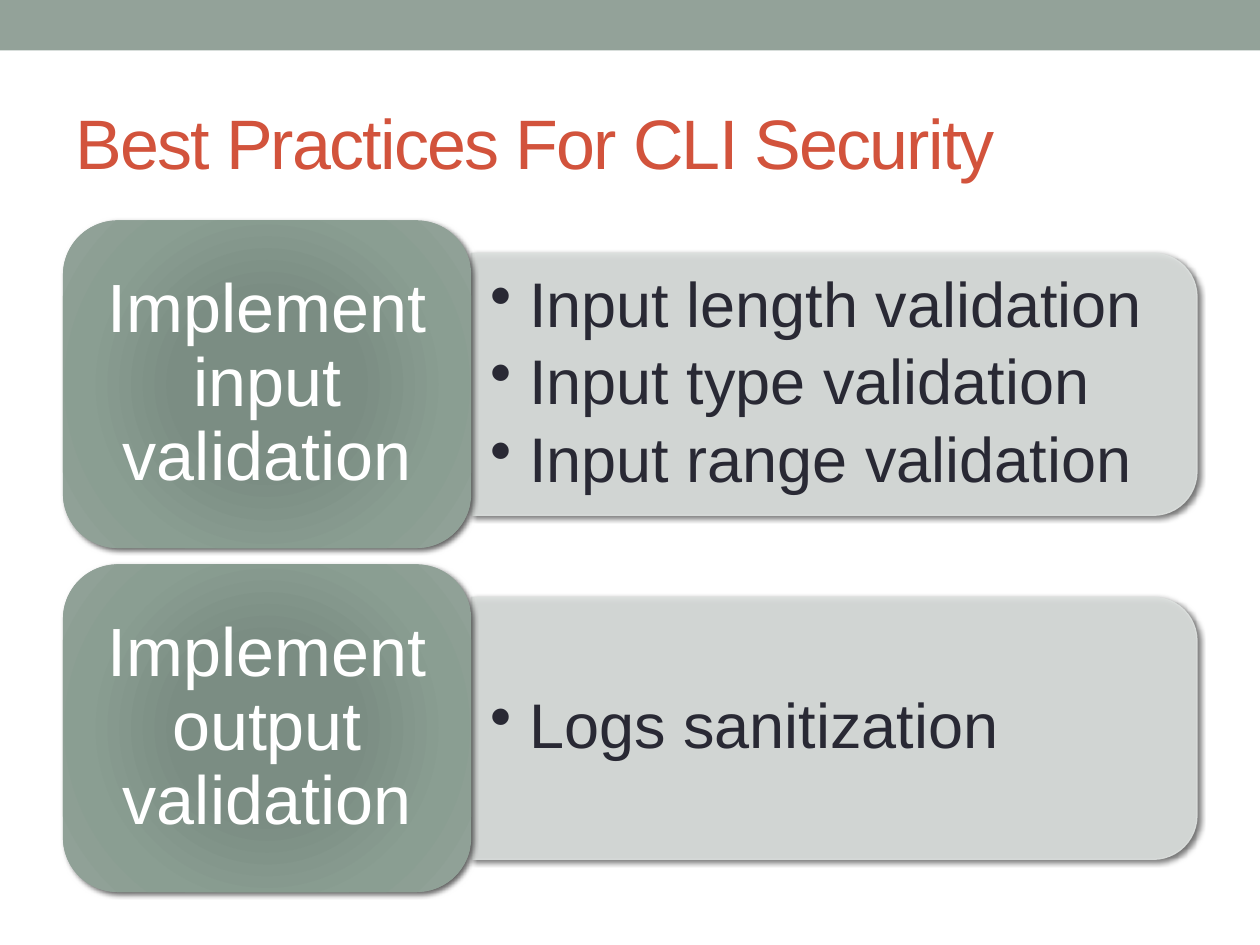
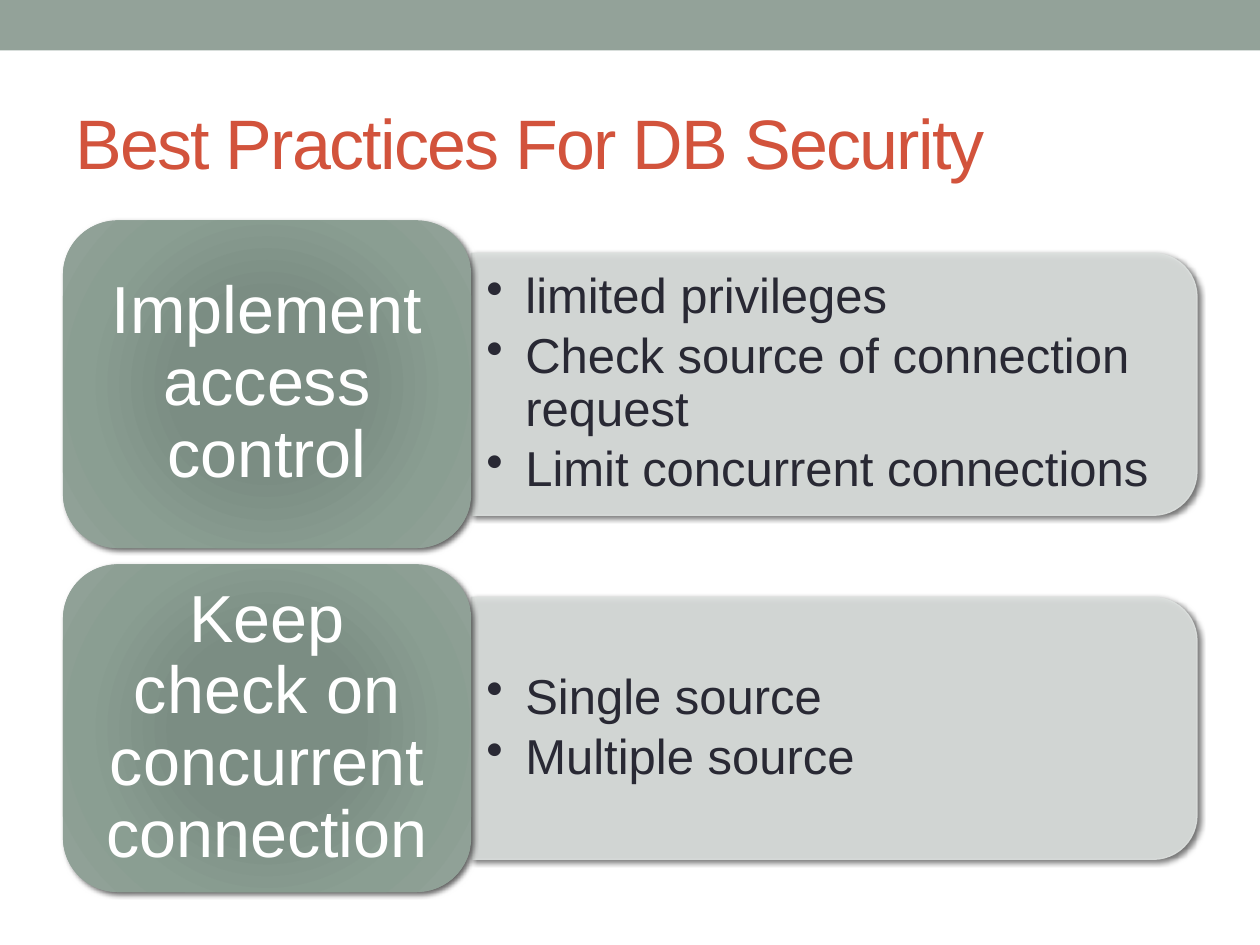
"""Build two slides of security best practices, each with topic tiles and bullet panels."""
import dataclasses
import typing

import pptx
import pptx.dml.color
import pptx.enum.shapes
import pptx.enum.text
import pptx.oxml
import pptx.oxml.ns
import pptx.util

Inches = pptx.util.Inches
Shapes = pptx.enum.shapes.MSO_SHAPE
Align = pptx.enum.text.PP_ALIGN
Anchor = pptx.enum.text.MSO_ANCHOR
NAMESPACE = pptx.oxml.ns.nsdecls("a")


@dataclasses.dataclass(frozen=True)
class Theme:
    font: str = "Arial"
    band: str = "93A299"
    title: str = "D2533C"
    panel: str = "DCE0DE"
    panel_opacity: int = 90
    bullet: str = "292934"
    topic: str = "FFFFFF"
    tile_stops: tuple = ((0, "7B8E82"), (34, "7B8D83"), (70, "8A9E92"), (100, "93A299"))
    title_size: int = 40
    line_spacing: float = 0.9


@dataclasses.dataclass(frozen=True)
class Row:
    topic: str
    bullets: tuple[str, ...]


@dataclasses.dataclass(frozen=True)
class Page:
    title: str
    title_width: float
    topic_size: int
    bullet_size: int
    bullet_inset: float
    rows: tuple[Row, ...]


THEME = Theme()
LEFT, FIRST_TOP, ROW_PITCH = 0.5, 1.75, 2.73
TILE_WIDTH, TILE_HEIGHT = 3.24, 2.6
PANEL_WIDTH, PANEL_HEIGHT = 5.76, 2.08
BULLETS_WIDTH, BULLETS_HEIGHT = 5.66, 1.88

PAGES = (
    Page("Best Practices For CLI Security", 9.25, 39, 36, 0.15, (
        Row("Implement input validation",
            ("Input length validation", "Input type validation", "Input range validation")),
        Row("Implement output validation", ("Logs sanitization",)),
    )),
    Page("Best Practices For DB Security", 9, 38, 28, 0.12, (
        Row("Implement access control",
            ("limited privileges", "Check source of connection request",
             "Limit concurrent connections")),
        Row("Keep check on concurrent connection", ("Single source", "Multiple source")),
    )),
)


def rgb(value: str) -> pptx.dml.color.RGBColor:
    """Turn a hex string into a colour."""
    return pptx.dml.color.RGBColor.from_string(value)


def element(xml: str) -> typing.Any:
    """Parse one drawing element, given without its namespace declaration."""
    head, rest = xml.split(">", 1)
    return pptx.oxml.parse_xml(f"{head} {NAMESPACE}>{rest}")


def add_shadow(shape: typing.Any) -> None:
    """Give a shape the soft shadow towards the lower right."""
    shape.shadow.inherit = False
    effects = shape.element.spPr.find(pptx.oxml.ns.qn("a:effectLst"))
    blur, distance = pptx.util.Pt(3), pptx.util.Pt(2)
    shadow = element('<a:outerShdw><a:srgbClr val="000000"><a:alpha val="60000"/>'
                     '</a:srgbClr></a:outerShdw>')
    for name, value in (("blurRad", blur), ("dist", distance), ("dir", 45 * 60000),
                        ("algn", "ctr"), ("rotWithShape", 0)):
        shadow.set(name, str(value))
    effects.append(shadow)


def set_text(shape: typing.Any, lines: typing.Sequence[str], size: int, color: str,
             inset: float, inset_y: float) -> typing.Any:
    """Write one paragraph a line, vertically centred, and return the text frame."""
    frame = shape.text_frame
    frame.text = "\n".join(lines)
    frame.word_wrap = True
    frame.vertical_anchor = Anchor.MIDDLE
    frame.margin_left = frame.margin_right = Inches(inset)
    frame.margin_top = frame.margin_bottom = Inches(inset_y)
    for para in frame.paragraphs:
        para.alignment = Align.LEFT
        for span in para.runs:
            span.font.name = THEME.font
            span.font.size = pptx.util.Pt(size)
            span.font.color.rgb = rgb(color)
    return frame


def space_paragraph(para: typing.Any, percent_after: int) -> typing.Any:
    """Tighten the lines, add relative space after, and return the properties."""
    para.line_spacing = THEME.line_spacing
    properties = para._p.get_or_add_pPr()
    properties.append(element(
        f'<a:spcAft><a:spcPct val="{percent_after * 1000}"/></a:spcAft>'))
    return properties


def add_header(slide: typing.Any, page: Page) -> None:
    """Draw the top band and the slide title."""
    band = slide.shapes.add_shape(Shapes.RECTANGLE, 0, 0, Inches(10), Inches(0.4))
    band.shadow.inherit = False
    band.fill.solid()
    band.fill.fore_color.rgb = rgb(THEME.band)
    band.line.fill.background()
    box = slide.shapes.add_textbox(
        Inches(LEFT), Inches(0.58), Inches(page.title_width), Inches(1.08))
    frame = set_text(box, [page.title], THEME.title_size, THEME.title, 0.1, 0.05)
    frame.paragraphs[0].runs[0].font._element.set("spc", "-100")


def add_panel(slide: typing.Any, middle: float) -> None:
    """Draw the pale panel, turned so that its round corners face right."""
    center = LEFT + TILE_WIDTH + PANEL_WIDTH / 2
    panel = slide.shapes.add_shape(
        Shapes.ROUND_2_SAME_RECTANGLE,
        Inches(center - PANEL_HEIGHT / 2), Inches(middle - PANEL_WIDTH / 2),
        Inches(PANEL_HEIGHT), Inches(PANEL_WIDTH))
    panel.rotation = 90
    panel.line.width = pptx.util.Pt(0.75)
    for fill in (panel.fill, panel.line.fill):
        fill.solid()
        fill.fore_color.rgb = rgb(THEME.panel)
    for color in panel.element.spPr.iter(pptx.oxml.ns.qn("a:srgbClr")):
        color.append(element(f'<a:alpha val="{THEME.panel_opacity * 1000}"></a:alpha>'))
    add_shadow(panel)


def add_bullets(slide: typing.Any, page: Page, row: Row, middle: float) -> None:
    """Write the bullet list over its panel."""
    box = slide.shapes.add_textbox(
        Inches(LEFT + TILE_WIDTH), Inches(middle - BULLETS_HEIGHT / 2),
        Inches(BULLETS_WIDTH), Inches(BULLETS_HEIGHT))
    frame = set_text(box, row.bullets, page.bullet_size, THEME.bullet,
                     page.bullet_inset, page.bullet_inset / 2)
    for para in frame.paragraphs:
        para.level = 1
        properties = space_paragraph(para, 15)
        properties.set("marL", str(Inches(0.31)))
        properties.set("indent", str(-Inches(0.31)))
        bullet = element("<a:buChar></a:buChar>")
        bullet.set("char", "•")
        properties.append(bullet)


def add_tile(slide: typing.Any, page: Page, row: Row, top: float) -> None:
    """Draw the green tile with the topic in it."""
    tile = slide.shapes.add_shape(
        Shapes.ROUNDED_RECTANGLE, Inches(LEFT), Inches(top),
        Inches(TILE_WIDTH), Inches(TILE_HEIGHT))
    stops = "".join(f'<a:gs pos="{place * 1000}"><a:srgbClr val="{color}"/></a:gs>'
                    for place, color in THEME.tile_stops)
    tile.element.spPr.insert(2, element(
        f'<a:gradFill><a:gsLst>{stops}</a:gsLst><a:path path="circle">'
        '<a:fillToRect l="100000" t="100000" r="100000" b="100000"/></a:path></a:gradFill>'))
    tile.line.fill.background()
    add_shadow(tile)
    frame = set_text(tile, [row.topic], page.topic_size, THEME.topic, 0.16, 0.08)
    frame.paragraphs[0].alignment = Align.CENTER
    space_paragraph(frame.paragraphs[0], 35)


def main() -> None:
    """Build the deck and save it."""
    deck = pptx.Presentation()
    deck.slide_width, deck.slide_height = Inches(10), Inches(7.5)
    for page in PAGES:
        slide = deck.slides.add_slide(deck.slide_layouts[6])
        add_header(slide, page)
        for index, row in enumerate(page.rows):
            top = FIRST_TOP + index * ROW_PITCH
            middle = top + TILE_HEIGHT / 2
            add_panel(slide, middle)
            add_bullets(slide, page, row, middle)
            add_tile(slide, page, row, top)
    deck.save("out.pptx")


if __name__ == "__main__":
    main()
